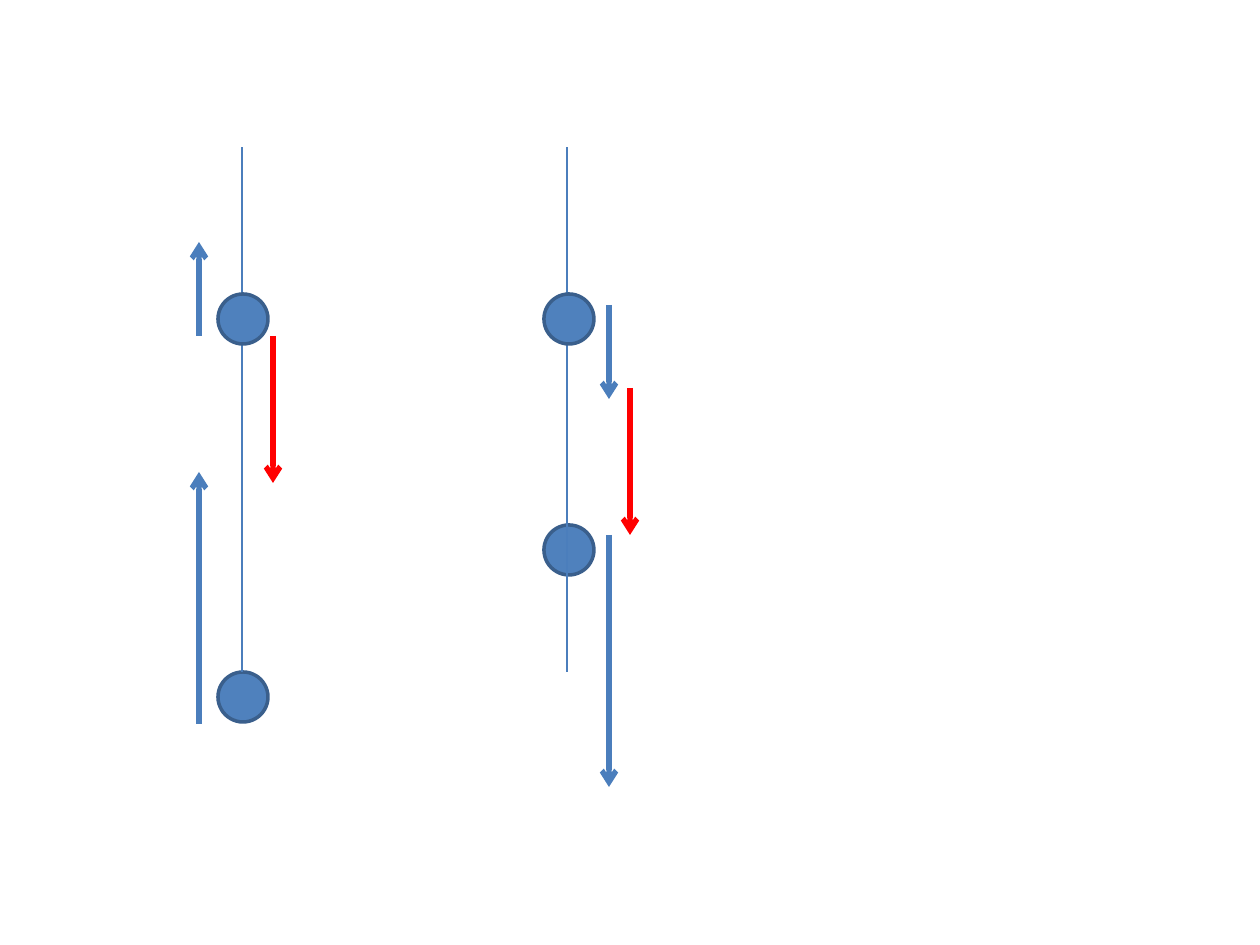
from dataclasses import dataclass

from lxml import etree
from pptx import Presentation
from pptx.dml.color import RGBColor
from pptx.enum.shapes import MSO_CONNECTOR, MSO_SHAPE
from pptx.oxml.ns import qn
from pptx.util import Pt

STRAIGHT = MSO_CONNECTOR.STRAIGHT
OVAL = MSO_SHAPE.OVAL
EMU_PER_PX = 914400 / 126
BLANK_LAYOUT = 6


@dataclass(frozen=True)
class Theme:
    ball: RGBColor = RGBColor(0x4F, 0x81, 0xBD)
    ball_edge: RGBColor = RGBColor(0x3A, 0x5F, 0x8C)
    velocity: RGBColor = RGBColor(0x4B, 0x7E, 0xBC)
    acceleration: RGBColor = RGBColor(0xFF, 0x00, 0x00)
    ball_edge_width: float = 2
    path_width: float = 0.75
    arrow_width: float = 3


THEME = Theme()
BALL_SIZE = 50
UPPER_BALL_TOP = 294
PATH_TOP, PATH_BOTTOM = 147, 672

# Each motion: path and ball places, then arrows as (x, start y, end y)
MOTIONS = [
    {  # ball thrown upwards
        "path_x": 242, "ball_left": 218, "lower_ball_top": 672,
        "velocities": [(199, 336, 242), (199, 724, 472)],
        "acceleration": (273, 336, 483),
    },
    {  # ball falling
        "path_x": 567, "ball_left": 544, "lower_ball_top": 525,
        "velocities": [(609, 305, 399), (609, 535, 787)],
        "acceleration": (630, 388, 535),
    },
]


def px(length):
    return round(length * EMU_PER_PX)


def add_ball(slide, left, top):
    ball = slide.shapes.add_shape(OVAL, px(left), px(top), px(BALL_SIZE), px(BALL_SIZE))
    ball.shadow.inherit = False
    ball.fill.solid()
    ball.fill.fore_color.rgb = THEME.ball
    ball.line.color.rgb = THEME.ball_edge
    ball.line.width = Pt(THEME.ball_edge_width)


def add_vertical(slide, x, start, end, color, width):
    vertical = slide.shapes.add_connector(STRAIGHT, px(x), px(start), px(x), px(end))
    vertical.line.color.rgb = color
    vertical.line.width = Pt(width)
    etree.SubElement(vertical._element.spPr, qn("a:effectLst"))
    return vertical


def add_arrow(slide, x, start, end, color):
    arrow = add_vertical(slide, x, start, end, color, THEME.arrow_width)
    etree.SubElement(arrow.line._get_or_add_ln(), qn("a:tailEnd"), type="arrow")


def add_motion(slide, motion):
    # The path lies over the lower ball and under the upper one
    add_ball(slide, motion["ball_left"], motion["lower_ball_top"])
    add_vertical(slide, motion["path_x"], PATH_BOTTOM, PATH_TOP,
                 THEME.velocity, THEME.path_width)
    add_ball(slide, motion["ball_left"], UPPER_BALL_TOP)

    for velocity in motion["velocities"]:
        add_arrow(slide, *velocity, THEME.velocity)
    add_arrow(slide, *motion["acceleration"], THEME.acceleration)


def main():
    deck = Presentation()
    deck.slide_width, deck.slide_height = px(1260), px(945)
    slide = deck.slides.add_slide(deck.slide_layouts[BLANK_LAYOUT])
    for motion in MOTIONS:
        add_motion(slide, motion)
    deck.save("out.pptx")


if __name__ == "__main__":
    main()
